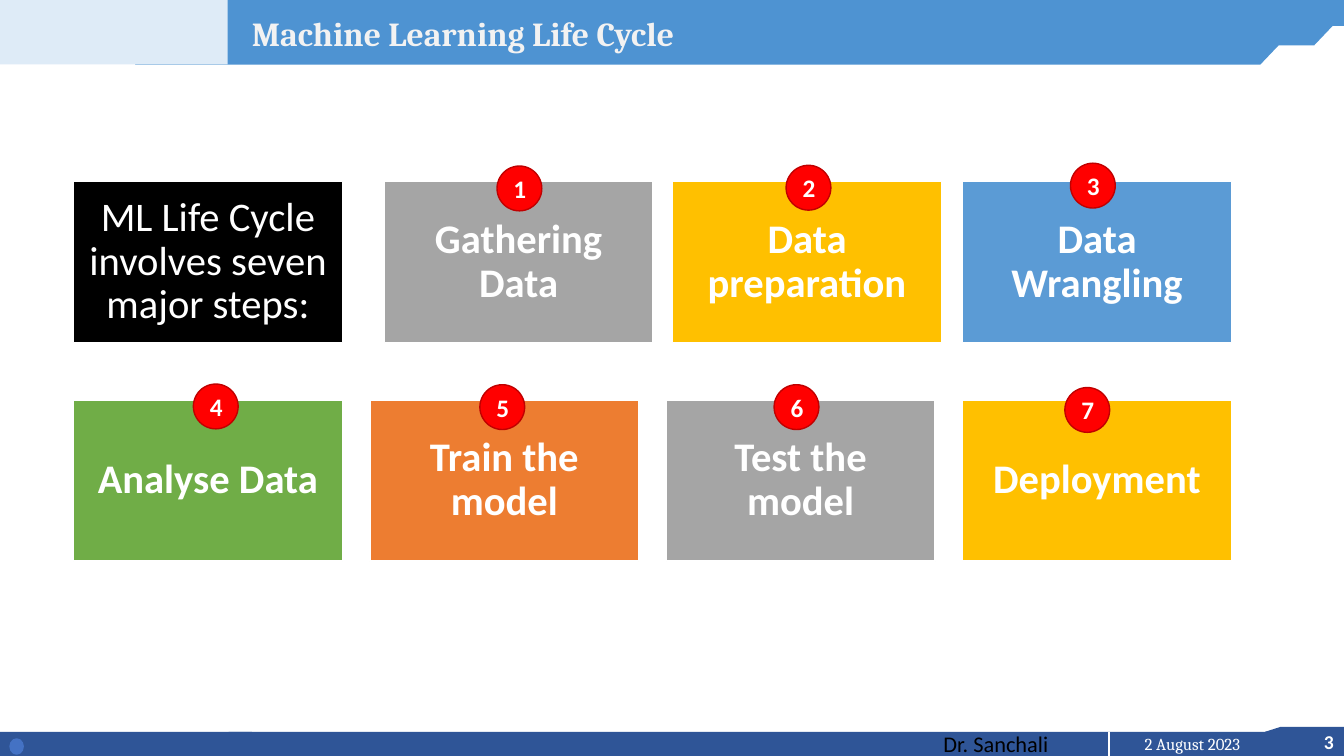
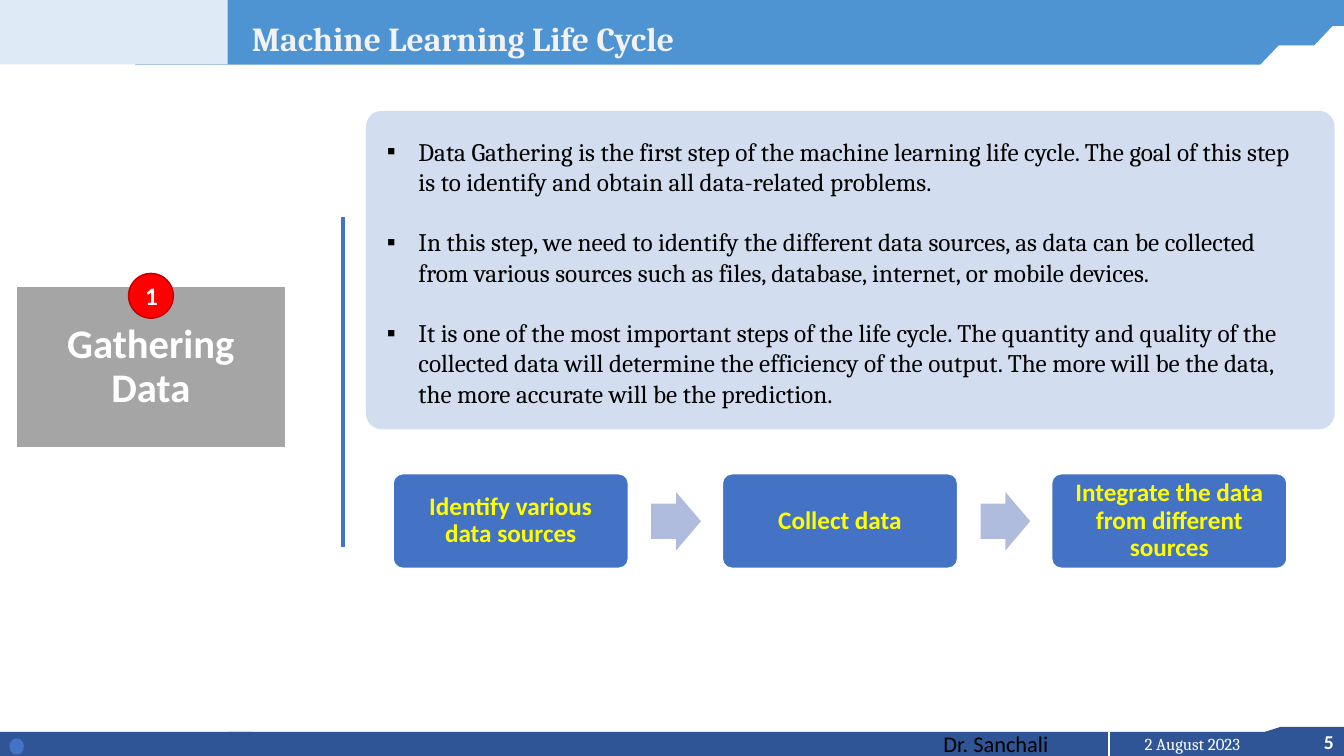
from dataclasses import dataclass

from lxml import etree
from pptx import Presentation
from pptx.dml.color import RGBColor
from pptx.enum.shapes import MSO_CONNECTOR, MSO_SHAPE
from pptx.enum.text import MSO_ANCHOR, PP_ALIGN
from pptx.oxml.ns import qn
from pptx.util import Pt

RECT, ROUND = MSO_SHAPE.RECTANGLE, MSO_SHAPE.ROUNDED_RECTANGLE
OVAL, ARROW = MSO_SHAPE.OVAL, MSO_SHAPE.RIGHT_ARROW
SLANT, CARD = MSO_SHAPE.PARALLELOGRAM, MSO_SHAPE.FLOWCHART_CARD
DOT = MSO_SHAPE.FLOWCHART_CONNECTOR
STRAIGHT = MSO_CONNECTOR.STRAIGHT
LEFT, MID, RIGHT = PP_ALIGN.LEFT, PP_ALIGN.CENTER, PP_ALIGN.RIGHT
TOP, CENTRE = MSO_ANCHOR.TOP, MSO_ANCHOR.MIDDLE


@dataclass(frozen=True)
class Theme:
    sans: str = "Calibri"
    serif: str = "Cambria"
    # Colours
    white: str = "FFFFFF"
    black: str = "000000"
    title: str = "F2F2F2"
    band: str = "4E93D2"
    pale: str = "DEEBF7"
    foot: str = "2F5597"
    panel: str = "D2DEEF"
    blue: str = "4472C4"
    sky: str = "5B9BD5"
    grey: str = "A5A5A5"
    gold: str = "FFC000"
    green: str = "70AD47"
    orange: str = "ED7D31"
    red: str = "FF0000"
    rim: str = "C00000"
    arrow: str = "B0BCDE"
    yellow: str = "FFFF00"
    # Type sizes
    head: int = 24
    tile: int = 29
    body: int = 18
    name: int = 16
    page: int = 14
    date: int = 12


T = Theme()


def block(slide, kind, x, y, w, h, fill=None, line=None, adj=()):
    """Add a shape, or a text box when kind is None."""
    area = Pt(x), Pt(y), Pt(w), Pt(h)
    if kind is None:
        return slide.shapes.add_textbox(*area)
    shape = slide.shapes.add_shape(kind, *area)
    shape.shadow.inherit = False
    shape.fill.solid()
    shape.fill.fore_color.rgb = RGBColor.from_string(fill)
    if line:
        shape.line.color.rgb = RGBColor.from_string(line)
        shape.line.width = Pt(1)
    else:
        shape.line.fill.background()
    for i, part in enumerate(adj):
        shape.adjustments[i] = part
    return shape


def write(shape, text, size, color, bold=False, font=T.sans, align=MID,
          anchor=CENTRE, pad=(7.2, 3.6), space=None):
    """Set the text of a shape, one paragraph a line."""
    frame = shape.text_frame
    frame.text = text
    frame.word_wrap = True
    frame.vertical_anchor = anchor
    frame.margin_left = frame.margin_right = Pt(pad[0])
    frame.margin_top = frame.margin_bottom = Pt(pad[1])
    for para in frame.paragraphs:
        para.alignment = align
        para.line_spacing = space
        for run in para.runs:
            run.font.name = font
            run.font.size = Pt(size)
            run.font.bold = bold
            run.font.color.rgb = RGBColor.from_string(color)
    return frame


deck = Presentation()
deck.slide_width, deck.slide_height = Pt(960), Pt(540)
blank = deck.slide_layouts[6]
cycle, gather = [deck.slides.add_slide(blank) for _ in range(2)]
rules = [(gather, 244.8, 154.8, 391, T.blue, 3)]

# Shared bands, title and footer
for slide, page, top in ((cycle, "3", 5.8), (gather, "5", 9.4)):
    block(slide, CARD, 903.6, 519.1, 56.9, 18, T.foot)
    block(slide, RECT, -0.7, 522.7, 180.7, 18.7, T.foot)
    bar = block(slide, RECT, 163.4, 522.7, 797, 17.3, T.foot)
    write(bar, "Dr. Sanchali", T.name, T.black, align=LEFT)
    bar.text_frame.margin_left = Pt(510.5)
    write(block(slide, None, 895, 517.7, 64.8, 24.5), page, T.page, T.white,
          bold=True, align=RIGHT, anchor=TOP)
    for x, y, w, h, skew in ((131, -0.7, 830, 19.4, 0),
                             (139, 7.9, 823, 24.5, 0.95),
                             (96.5, 25.9, 823, 20.2, 0.95)):
        block(slide, SLANT, x, y, w, h, T.band, adj=[skew])
    block(slide, RECT, 0, -0.7, 162.7, 46.8, T.pale)
    write(block(slide, None, 792, 520.6, 119.5, 21.6), "2 August 2023",
          T.date, T.white, font=T.serif, anchor=TOP)
    block(slide, DOT, 7.2, 527.8, 9.4, 10.8, T.blue, T.blue)
    write(block(slide, None, 172.8, top, 757.4, 36),
          "Machine Learning Life Cycle", T.head, T.title, bold=True,
          font=T.serif, align=LEFT, anchor=TOP)
    rules.append((slide, 792, 522.7, 540.7, T.white, 1.5))

# Tiles: slide, left, top, fill, text, number, badge offset
row1, row2, edge, step = 129.6, 285.8, 52.6, 211.67
tiles = [
    (cycle, edge, row1, T.black,
     "ML Life Cycle involves seven major steps:", "", 0, 0),
    (cycle, 274.5, row1, T.grey, "Gathering Data", "1", 80.5, -11),
    (cycle, 480.5, row1, T.gold, "Data preparation", "2", 81, -11.5),
    (cycle, edge + 3 * step, row1, T.sky, "Data Wrangling", "3", 77, -13),
    (cycle, edge, row2, T.green, "Analyse Data", "4", 85.5, -11.5),
    (cycle, edge + step, row2, T.orange, "Train the model", "5", 78.5, -11),
    (cycle, edge + 2 * step, row2, T.grey, "Test the model", "6", 77, -11),
    (cycle, edge + 3 * step, row2, T.gold, "Deployment", "7", 73, -9),
    (gather, 11.8, 204.8, T.grey, "Gathering Data", "1", 80, -9.5),
]
for slide, x, y, fill, text, num, dx, dy in tiles:
    tile = block(slide, RECT, x, y, 192, 115, fill, T.white)
    write(tile, text, T.tile, T.white, bold=bool(num), pad=(8.6, 8.6),
          space=0.9)
    if num:
        badge = block(slide, OVAL, x + dx, y + dy, 32, 32, T.red, T.rim)
        write(badge, num, T.body, T.white, bold=True)

# Panel with bullets
points = [
    "Data Gathering is the first step of the machine learning life cycle. "
    "The goal of this step is to identify and obtain all data-related "
    "problems.",
    "In this step, we need to identify the different data sources, as data "
    "can be collected from various sources such as files, database, "
    "internet, or mobile devices.",
    "It is one of the most important steps of the life cycle. The quantity "
    "and quality of the collected data will determine the efficiency of the "
    "output. The more will be the data, the more accurate will be the "
    "prediction.",
]
block(gather, ROUND, 261.4, 79.2, 692, 227.5, T.panel, adj=[0.05])
frame = write(block(gather, None, 269.3, 93.6, 661, 203.8), "\n".join(points),
              T.body, T.black, font=T.serif, align=LEFT, anchor=TOP)
for para in frame.paragraphs:
    para.space_after = Pt(21.6)
    props = para._p.get_or_add_pPr()
    props.set("marL", str(Pt(22.5)))
    props.set("indent", str(-Pt(22.5)))
    etree.SubElement(props, qn("a:buFont")).set("typeface", "Arial")
    etree.SubElement(props, qn("a:buChar")).set("char", "▪")

# Flow of three steps
flow = ["Identify various data sources", "Collect data",
        "Integrate the data from different sources"]
for i, text in enumerate(flow):
    x = 280.8 + 235.2 * i
    if i:
        block(gather, ARROW, x - 50.8, 351.4, 35.5, 41.8, T.arrow,
              adj=[0.6, 0.5])
    card = block(gather, ROUND, x, 338.4, 168, 67.5, T.blue, T.white, [0.1])
    write(card, text, T.body, T.yellow, bold=True, pad=(7, 7), space=0.9)

# Upright rules
for slide, x, y, end, color, width in rules:
    rule = slide.shapes.add_connector(STRAIGHT, Pt(x), Pt(y), Pt(x), Pt(end))
    rule.line.color.rgb = RGBColor.from_string(color)
    rule.line.width = Pt(width)
    etree.SubElement(rule._element.spPr, qn("a:effectLst"))

deck.save("out.pptx")
